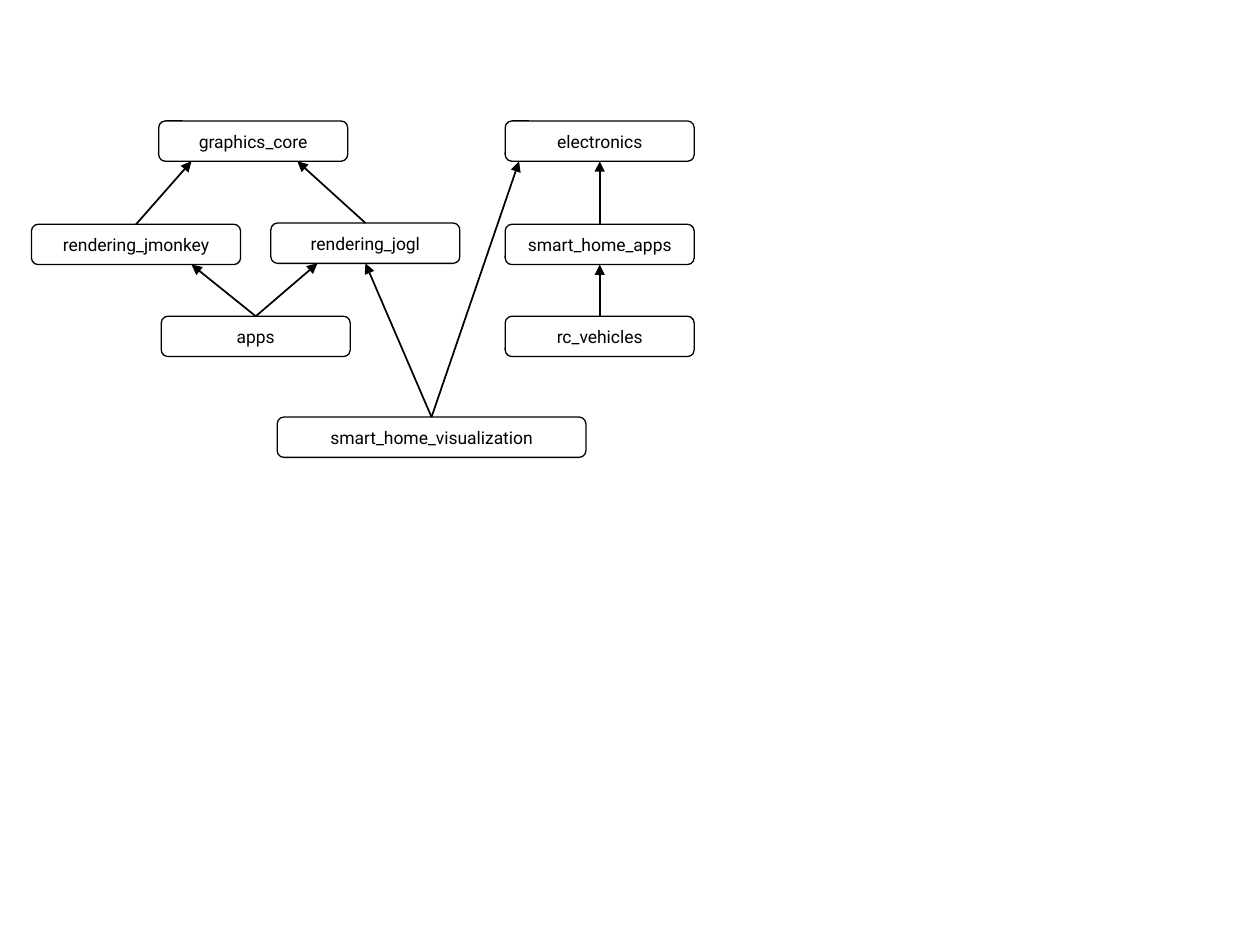
import lxml.etree
import pptx
import pptx.util
import pptx.dml.color
import pptx.enum.shapes
import pptx.enum.text
import pptx.oxml.ns
from pptx.util import Inches

BLACK = pptx.dml.color.RGBColor(0, 0, 0)
WHITE = pptx.dml.color.RGBColor(255, 255, 255)
MODULE_WIDTH, MODULE_HEIGHT = 1.5, 0.32
MODULES = {
    "graphics_core": (1.01, 0, MODULE_WIDTH),
    "rendering_jogl": (1.9, 0.81, MODULE_WIDTH),
    "apps": (1.03, 1.55, MODULE_WIDTH),
    "electronics": (3.76, 0, MODULE_WIDTH),
    "smart_home_apps": (3.76, 0.82, MODULE_WIDTH),
    "smart_home_visualization": (1.95, 2.35, 2.45),
    "rc_vehicles": (3.76, 1.55, MODULE_WIDTH),
    "rendering_jmonkey": (0, 0.82, 1.66),
}
DEPENDENCIES = [
    ("rendering_jmonkey", "graphics_core", 0.26),
    ("rendering_jogl", "graphics_core", 1.1),
    ("apps", "rendering_jmonkey", 1.27),
    ("apps", "rendering_jogl", 0.37),
    ("smart_home_visualization", "rendering_jogl", None),
    ("smart_home_visualization", "electronics", 0.11),
    ("rc_vehicles", "smart_home_apps", None),
    ("smart_home_apps", "electronics", None),
]


def write_text(shape, text, size=10, font="Roboto", color=BLACK):
    """Write one centred line of text in the middle of a shape."""
    frame = shape.text_frame
    frame.word_wrap = True
    frame.vertical_anchor = pptx.enum.text.MSO_ANCHOR.MIDDLE
    frame.margin_left = frame.margin_right = 0
    frame.margin_top = frame.margin_bottom = 0
    paragraph = frame.paragraphs[0]
    paragraph.alignment = pptx.enum.text.PP_ALIGN.CENTER
    run = paragraph.add_run()
    run.text = text
    run.font.size = pptx.util.Pt(size)
    run.font.name = font
    run.font.color.rgb = color


def add_module(slide, name, left, top, width):
    """Add one outlined module box and return it."""
    shape = slide.shapes.add_shape(
        pptx.enum.shapes.MSO_SHAPE.ROUNDED_RECTANGLE,
        Inches(left), Inches(top), Inches(width), Inches(MODULE_HEIGHT))
    shape.shadow.inherit = False
    shape.fill.background()
    shape.line.color.rgb = BLACK
    shape.line.width = pptx.util.Pt(0.75)
    write_text(shape, name)
    return shape


def add_dependency(slide, child, parent, offset):
    """Point an arrow from a child's top to its parent's bottom edge."""
    inset = parent.width // 2 if offset is None else Inches(offset)
    connector = slide.shapes.add_connector(
        pptx.enum.shapes.MSO_CONNECTOR.STRAIGHT,
        child.left + child.width // 2, child.top,
        parent.left + inset, parent.top + parent.height)
    connector.begin_connect(child, 0)
    if offset is None:
        connector.end_connect(parent, 2)
    connector.line.color.rgb = BLACK
    connector.line.width = pptx.util.Pt(1)
    properties = connector._element.spPr
    line = properties.find(pptx.oxml.ns.qn("a:ln"))
    lxml.etree.SubElement(line, pptx.oxml.ns.qn("a:tailEnd"), type="triangle")
    lxml.etree.SubElement(properties, pptx.oxml.ns.qn("a:effectLst"))


def add_module_diagram(slide, left, top):
    """Draw the modules and their dependencies from a top left corner."""
    shapes = {
        name: add_module(slide, name, left + x, top + y, width)
        for name, (x, y, width) in MODULES.items()
    }
    for child, parent, offset in DEPENDENCIES:
        add_dependency(slide, shapes[child], shapes[parent], offset)


def main():
    """Build and save the presentation."""
    presentation = pptx.Presentation()
    presentation.slide_width = Inches(10)
    presentation.slide_height = Inches(7.5)
    slide = presentation.slides.add_slide(presentation.slide_layouts[6])
    slide.background.fill.solid()
    slide.background.fill.fore_color.rgb = WHITE
    add_module_diagram(slide, left=0.25, top=0.96)
    presentation.save("out.pptx")


if __name__ == "__main__":
    main()
